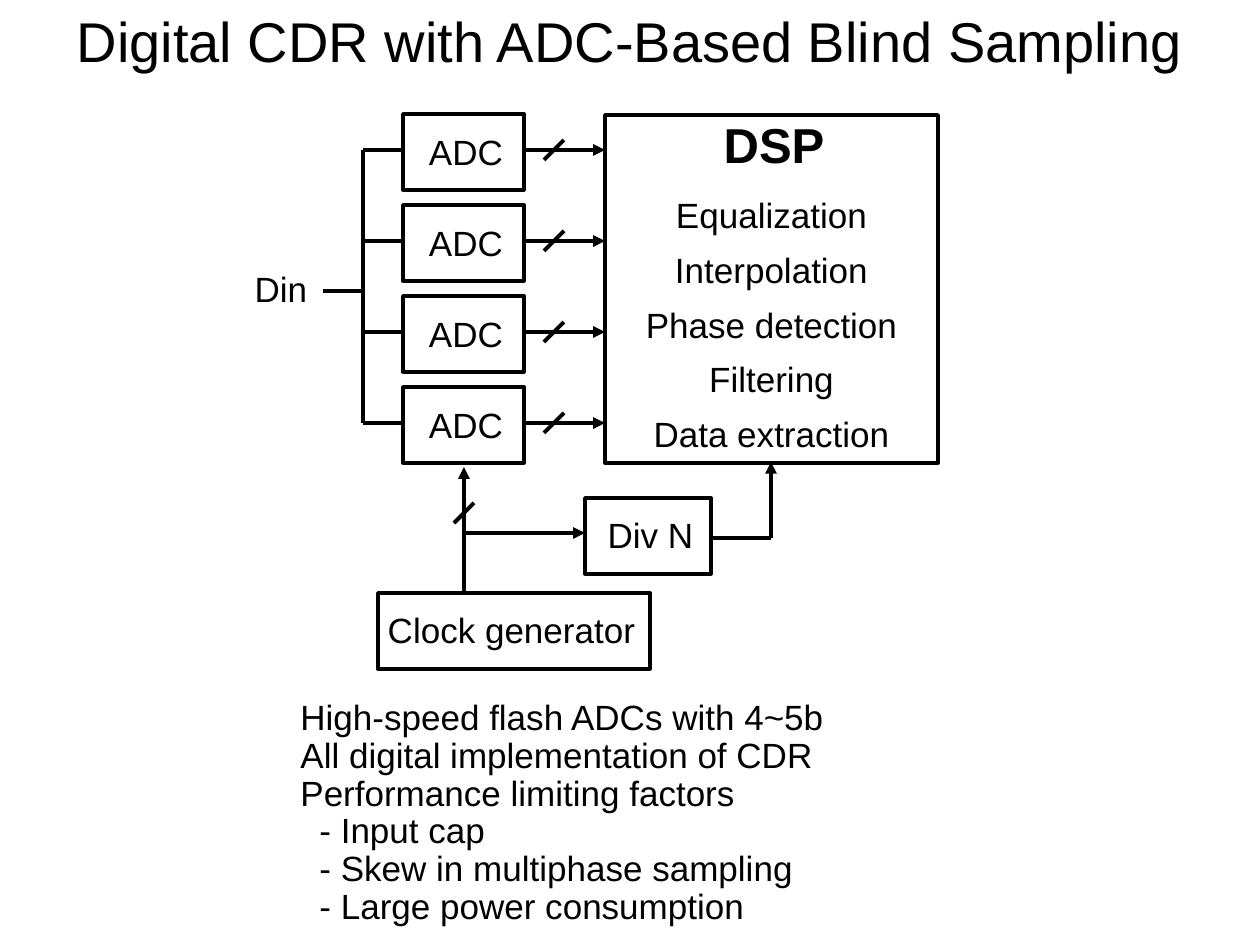
from lxml import etree
from pptx import Presentation
from pptx import util as u
from pptx.dml.color import RGBColor
from pptx.enum import shapes, text
from pptx.oxml import ns

SCALE = 914400 / 126
BLACK = "000000"
FONT = "Arial"
ROW_TOP, ROW_PITCH, ROW_COUNT = 114, 91, 4
BOX_HEIGHT = 76
BUS_X, ADC_X, ADC_WIDTH, DSP_X = 363, 403, 121, 605


def px(value):
    return u.Emu(round(value * SCALE))


def color(value):
    return RGBColor.from_string(value)


def add_text(slide, lines, left, top, width, height, *, size=20, bold=False,
             spacing=0.9, align=text.PP_ALIGN.CENTER, indents=()):
    shape = slide.shapes.add_textbox(px(left), px(top), px(width), px(height))
    frame = shape.text_frame
    frame.word_wrap = True
    frame.text = "\n".join(lines)
    for index, paragraph in enumerate(frame.paragraphs):
        paragraph.alignment = align
        paragraph.line_spacing = spacing
        if index in indents:
            paragraph._p.get_or_add_pPr().set("marL", str(px(19)))
        font = paragraph.font
        font.name = FONT
        font.size = u.Pt(size)
        font.bold = bold
        font.color.rgb = color(BLACK)


def add_box(slide, left, top, width, height=BOX_HEIGHT):
    shape = slide.shapes.add_shape(
        shapes.MSO_SHAPE.RECTANGLE, px(left), px(top), px(width), px(height))
    shape.shadow.inherit = False
    shape.fill.background()
    shape.line.color.rgb = color(BLACK)
    shape.line.width = u.Pt(2)


def add_line(slide, x1, y1, x2, y2, arrow=False):
    connector = slide.shapes.add_connector(
        shapes.MSO_CONNECTOR.STRAIGHT, px(x1), px(y1), px(x2), px(y2))
    connector.line.color.rgb = color(BLACK)
    connector.line.width = u.Pt(2.25)
    if arrow:
        line = connector.line._get_or_add_ln()
        etree.SubElement(line, ns.qn("a:tailEnd"), type="triangle")
    etree.SubElement(connector._element.spPr, ns.qn("a:effectLst"))


def add_bus_slash(slide, x, y):
    add_line(slide, x - 10, y + 10, x + 10, y - 10)


def add_adc_channel(slide, top):
    middle = top + 36
    add_box(slide, ADC_X, top, ADC_WIDTH)
    add_text(slide, ["ADC"], ADC_X + 5, top + 15, 116, 50)
    add_line(slide, BUS_X, middle, ADC_X, middle)
    add_line(slide, ADC_X + ADC_WIDTH, middle, DSP_X, middle, arrow=True)
    add_bus_slash(slide, 554, middle)


def add_input(slide):
    first = ROW_TOP + 36
    add_text(slide, ["Din"], 228, 266, 106, 50)
    add_line(slide, 323, 291, BUS_X, 291)
    add_line(slide, BUS_X, first, BUS_X, first + (ROW_COUNT - 1) * ROW_PITCH)


def add_dsp(slide):
    functions = ["Equalization", "Interpolation", "Phase detection",
                 "Filtering", "Data extraction"]
    add_box(slide, DSP_X, 115, 333, 348)
    add_text(slide, ["DSP"], 696, 115, 156, 66, size=28, bold=True)
    add_text(slide, functions, DSP_X, 175, 333, 282, spacing=1.3)


def add_clock(slide):
    add_box(slide, 378, 593, 272)
    add_text(slide, ["Clock generator"], 363, 607, 297, 50)
    add_line(slide, 464, 593, 464, 467, arrow=True)
    add_bus_slash(slide, 464, 513)
    add_line(slide, 464, 533, 585, 533, arrow=True)
    add_box(slide, 585, 498, 126)
    add_text(slide, ["Div N"], 590, 512, 121, 50)
    add_line(slide, 711, 538, 771, 538)
    add_line(slide, 771, 538, 771, 462, arrow=True)


def add_notes_list(slide):
    lines = ["High-speed flash ADCs with 4~5b",
             "All digital implementation of CDR",
             "Performance limiting factors",
             "- Input cap",
             "- Skew in multiphase sampling",
             "- Large power consumption"]
    add_text(slide, lines, 288, 694, 689, 242,
             align=text.PP_ALIGN.LEFT, indents=(3, 4, 5))


def main():
    presentation = Presentation()
    presentation.slide_width = px(1260)
    presentation.slide_height = px(945)
    slide = presentation.slides.add_slide(presentation.slide_layouts[6])
    add_text(slide, ["Digital CDR with ADC-Based Blind Sampling"],
             0, 0, 1260, 81, size=32, spacing=1.0)
    for row in range(ROW_COUNT):
        add_adc_channel(slide, ROW_TOP + row * ROW_PITCH)
    add_input(slide)
    add_dsp(slide)
    add_clock(slide)
    add_notes_list(slide)
    presentation.save("out.pptx")


if __name__ == "__main__":
    main()
